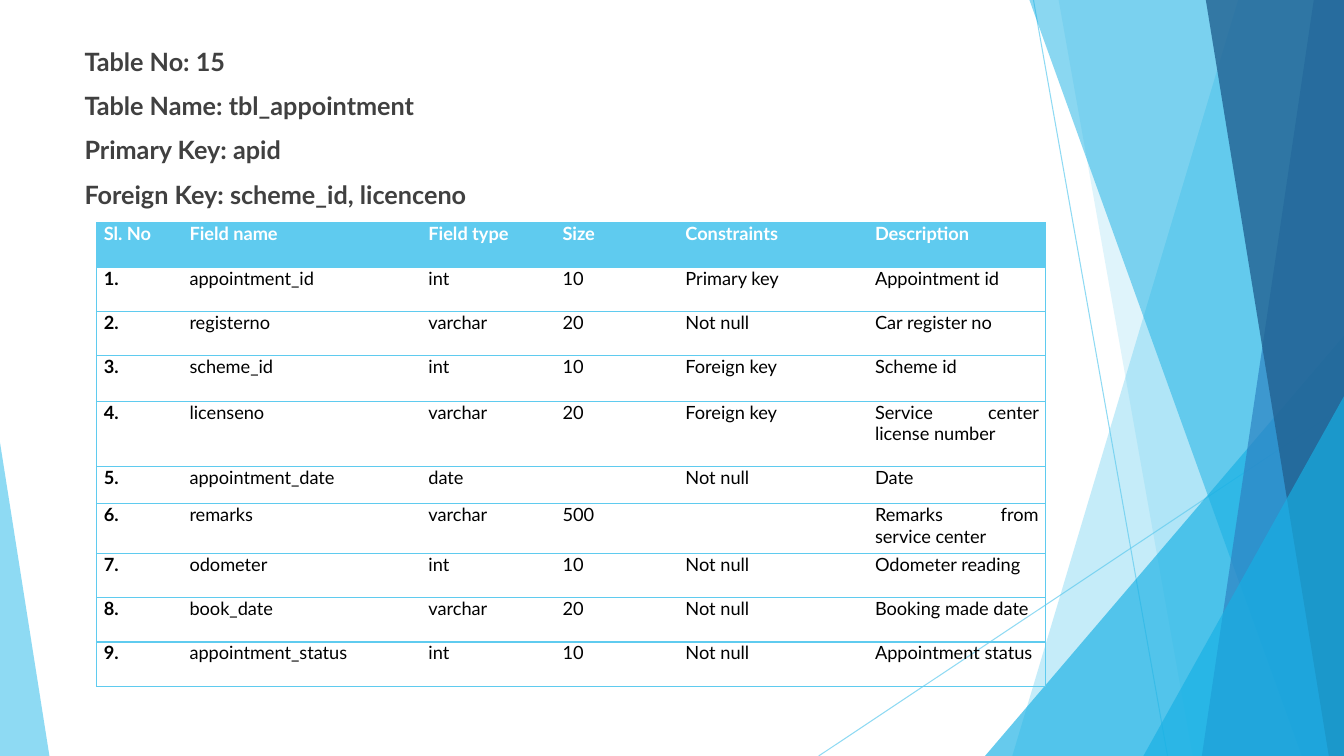
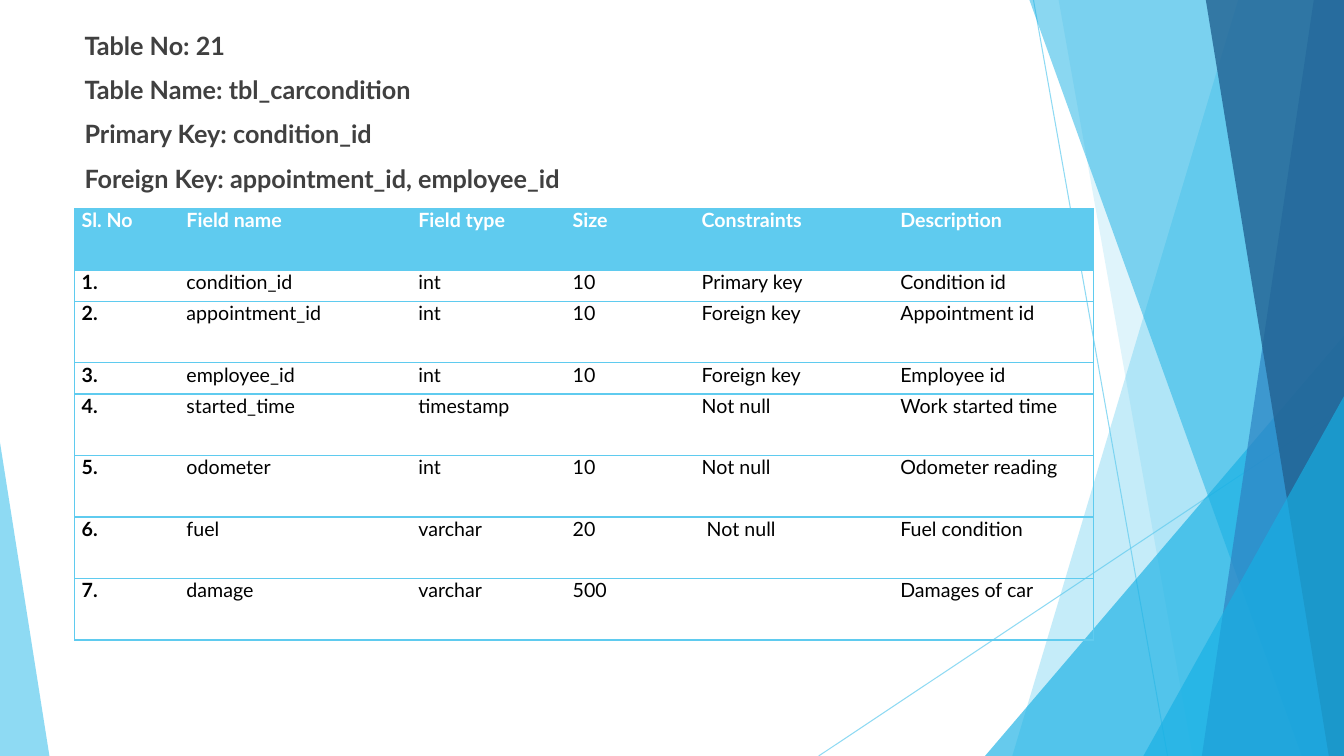
from pptx import Presentation
from pptx.dml.color import RGBColor
from pptx.enum.shapes import MSO_CONNECTOR, MSO_SHAPE
from pptx.enum.text import PP_ALIGN
from pptx.oxml.ns import qn
from pptx.util import Inches, Pt
from lxml import etree

TRIANGLE = MSO_SHAPE.ISOSCELES_TRIANGLE
STRAIGHT = MSO_CONNECTOR.STRAIGHT
JUSTIFY = PP_ALIGN.JUSTIFY

WIDTH, HEIGHT = 13.33, 7.5
FONT = "Lato"
SKY, CYAN, BLUE, NAVY = "5FCBEF", "17B0E4", "2E83C3", "226292"
WHITE, BLACK, GREY = "FFFFFF", "000000", "404040"
PLAIN_TABLE = "{2D5ABB26-0587-4C30-8999-92F81FD0307C}"

RAYS = [((10.25, 0), (11.58, HEIGHT)), ((WIDTH, 4.03), (8.12, HEIGHT))]
FACETS = [
    ("band", 12.28, 10.04, SKY, 36),
    ("band", 10.5, 11.83, SKY, 20),
    ("corner", 9.77, 3.33, CYAN, 66),
    ("band", 10.21, 12.91, CYAN, 50),
    ("band", 13.03, 11.92, BLUE, 70),
    ("band", 11.96, 13.18, NAVY, 80),
    ("corner", 11.34, 3.93, CYAN, 66),
]
LEFT_WEDGE = (0.49, 4.39)

HEADER = ("Sl. No", "Field name", "Field type", "Size", "Constraints", "Description")
PAGES = [
    {
        "facts": ["Table No: 15", "Table Name: tbl_appointment",
                  "Primary Key: apid", "Foreign Key: scheme_id, licenceno"],
        "facts_top": 0.41,
        "corner": (0.96, 2.21),
        "size": 13,
        "columns": [0.85, 2.37, 1.33, 1.22, 1.88, 1.76],
        "rows": [0.44, 0.44, 0.44, 0.45, 0.65, 0.37, 0.49, 0.44, 0.44, 0.44],
        "fields": [
            ("appointment_id", "int", "10", "Primary key", "Appointment id"),
            ("registerno", "varchar", "20", "Not null", "Car register no"),
            ("scheme_id", "int", "10", "Foreign key", "Scheme id"),
            ("licenseno", "varchar", "20", "Foreign key", "Service center license number"),
            ("appointment_date", "date", "", "Not null", "Date"),
            ("remarks", "varchar", "500", "", "Remarks from service center"),
            ("odometer", "int", "10", "Not null", "Odometer reading"),
            ("book_date", "varchar", "20", "Not null", "Booking made date"),
            ("appointment_status", "int", "10", "Not null", "Appointment status"),
        ],
    },
    {
        "facts": ["Table No: 21", "Table Name: tbl_carcondition",
                  "Primary Key: condition_id", "Foreign Key: appointment_id, employee_id"],
        "facts_top": 0.25,
        "corner": (0.74, 2.07),
        "size": 14,
        "columns": [1.04, 2.3, 1.53, 1.28, 1.97, 1.99],
        "rows": [0.61, 0.31, 0.61, 0.31, 0.61, 0.61, 0.61, 0.61],
        "fields": [
            ("condition_id", "int", "10", "Primary key", "Condition id"),
            ("appointment_id", "int", "10", "Foreign key", "Appointment id"),
            ("employee_id", "int", "10", "Foreign key", "Employee id"),
            ("started_time", "timestamp", "", "Not null", "Work started time"),
            ("odometer", "int", "10", "Not null", "Odometer reading"),
            ("fuel", "varchar", "20", " Not null", "Fuel condition"),
            ("damage", "varchar", "500", "", "Damages of car"),
        ],
    },
]


def color(value):
    return RGBColor.from_string(value)


def inches(*values):
    return [Inches(value) for value in values]


def set_alpha(shape, percent):
    tint = shape.element.find(".//" + qn("a:srgbClr"))
    etree.SubElement(tint, qn("a:alpha"), val=str(percent * 1000))


def write(para, text, size, tint, bold):
    span = para.add_run()
    span.text = text
    span.font.color.rgb = color(tint)
    for name, value in {"name": FONT, "size": Pt(size), "bold": bold}.items():
        setattr(span.font, name, value)


def add_ray(shapes, start, end):
    ray = shapes.add_connector(STRAIGHT, *inches(*start, *end))
    ray.line.color.rgb = color(SKY)
    ray.line.width = Pt(0.75)
    set_alpha(ray, 70)
    etree.SubElement(ray.element.find(qn("p:spPr")), qn("a:effectLst"))
    return ray


def paint(shape, tint, percent):
    shape.shadow.inherit = False
    shape.fill.solid()
    shape.fill.fore_color.rgb = color(tint)
    shape.line.fill.background()
    set_alpha(shape, percent)
    return shape


def add_wedge(shapes, left, top, width, apex):
    wedge = shapes.add_shape(TRIANGLE, *inches(left, top, width, HEIGHT - top))
    wedge.adjustments[0] = apex
    return wedge


def add_band(shapes, top_x, bottom_x):
    outline = shapes.build_freeform(*inches(top_x, 0), scale=1.0)
    corners = [(WIDTH, 0), (WIDTH, HEIGHT), (bottom_x, HEIGHT)]
    outline.add_line_segments([inches(*corner) for corner in corners], close=True)
    return outline.convert_to_shape()


def decorate(layout, page):
    for placeholder in list(layout.placeholders):
        layout.shapes.element.remove(placeholder.element)
    shapes = page.shapes
    parts = [add_ray(shapes, *ray) for ray in RAYS]
    for kind, first, second, tint, percent in FACETS:
        if kind == "band":
            facet = add_band(shapes, first, second)
        else:
            facet = add_wedge(shapes, first, second, WIDTH - first, 1)
        parts.append(paint(facet, tint, percent))
    width, top = LEFT_WEDGE
    parts.append(paint(add_wedge(shapes, 0, top, width, 0), SKY, 70))
    for part in parts:
        layout.shapes.element.append(part.element)


def add_facts(page, facts, top):
    box = page.shapes.add_textbox(*inches(0.74, top, 9.2, 1.8))
    frame = box.text_frame
    frame.word_wrap = True
    for index, fact in enumerate(facts):
        para = frame.add_paragraph() if index else frame.paragraphs[0]
        para.space_before = Pt(10)
        write(para, fact, 18, GREY, True)


def add_borders(cell, sides):
    properties = cell._tc.get_or_add_tcPr()
    for side in sides:
        line = etree.SubElement(properties, qn("a:ln" + side), w=str(Pt(1)))
        fill = etree.SubElement(line, qn("a:solidFill"))
        etree.SubElement(fill, qn("a:srgbClr"), val=SKY)


def format_cell(cell, text, size, is_header, bold, sides):
    margins = {"margin_left": 0.07, "margin_right": 0.07, "margin_top": 0, "margin_bottom": 0}
    for name, value in margins.items():
        setattr(cell, name, Inches(value))
    add_borders(cell, sides)
    if is_header:
        cell.fill.solid()
        cell.fill.fore_color.rgb = color(SKY)
    else:
        cell.fill.background()
    para = cell.text_frame.paragraphs[0]
    para.alignment = JUSTIFY
    if text:
        write(para, text, size, WHITE if is_header else BLACK, bold)


def add_fields(page, content):
    columns, heights = content["columns"], content["rows"]
    numbered = [(f"{number}.", *field) for number, field in enumerate(content["fields"], 1)]
    records = [HEADER, *numbered]
    frame = page.shapes.add_table(
        len(records), len(columns),
        *inches(*content["corner"], sum(columns), sum(heights)))
    frame.element.find(".//" + qn("a:tableStyleId")).text = PLAIN_TABLE
    table = frame.table
    table.horz_banding = False
    for column, width in zip(table.columns, columns):
        column.width = Inches(width)
    for row, height in zip(table.rows, heights):
        row.height = Inches(height)
    last = len(columns) - 1
    for r, record in enumerate(records):
        for c, text in enumerate(record):
            sides = ("L" if c == 0 else "") + ("R" if c == last else "") + "TB"
            format_cell(table.cell(r, c), text, content["size"], r == 0, r == 0 or c == 0, sides)


def main():
    deck = Presentation()
    deck.slide_width, deck.slide_height = inches(WIDTH, HEIGHT)
    blank = deck.slide_layouts[6]
    pages = [deck.slides.add_slide(blank) for _ in PAGES]
    decorate(blank, pages[0])
    for page, content in zip(pages, PAGES):
        add_facts(page, content["facts"], content["facts_top"])
        add_fields(page, content)
    deck.save("out.pptx")


if __name__ == "__main__":
    main()
